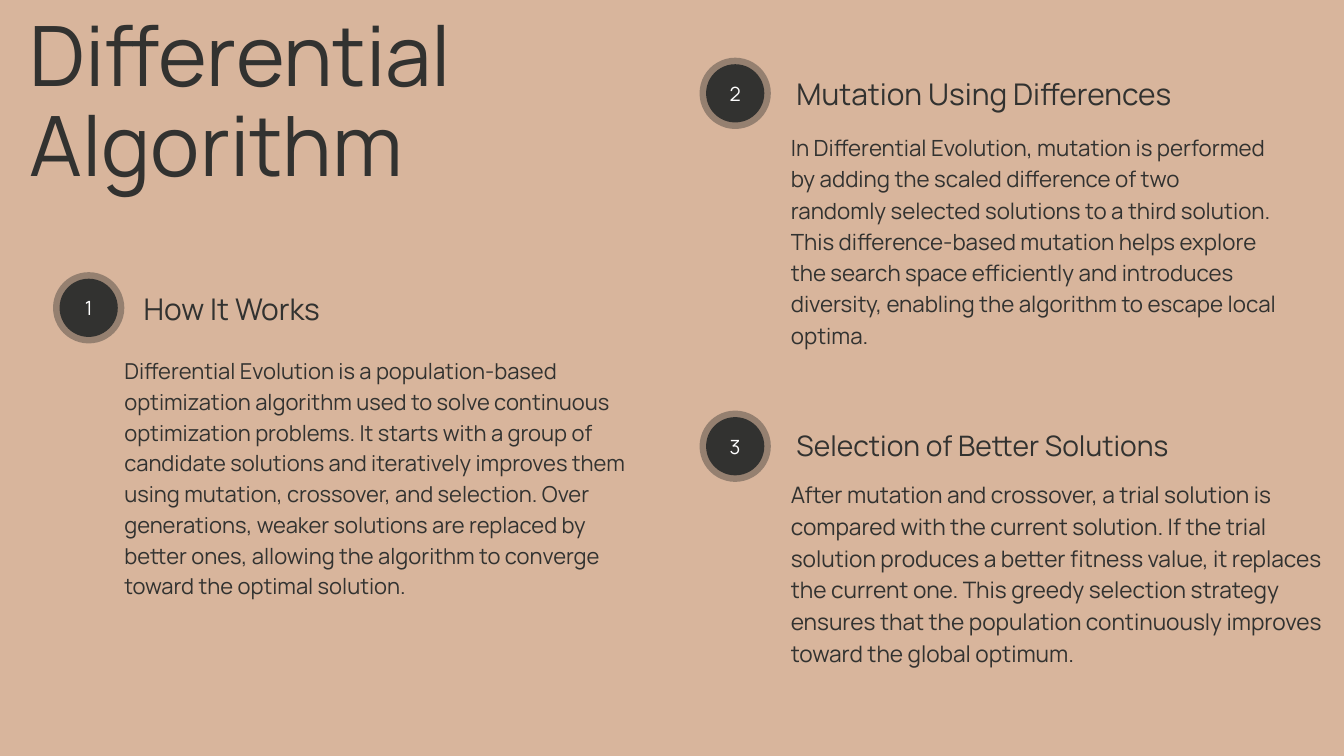
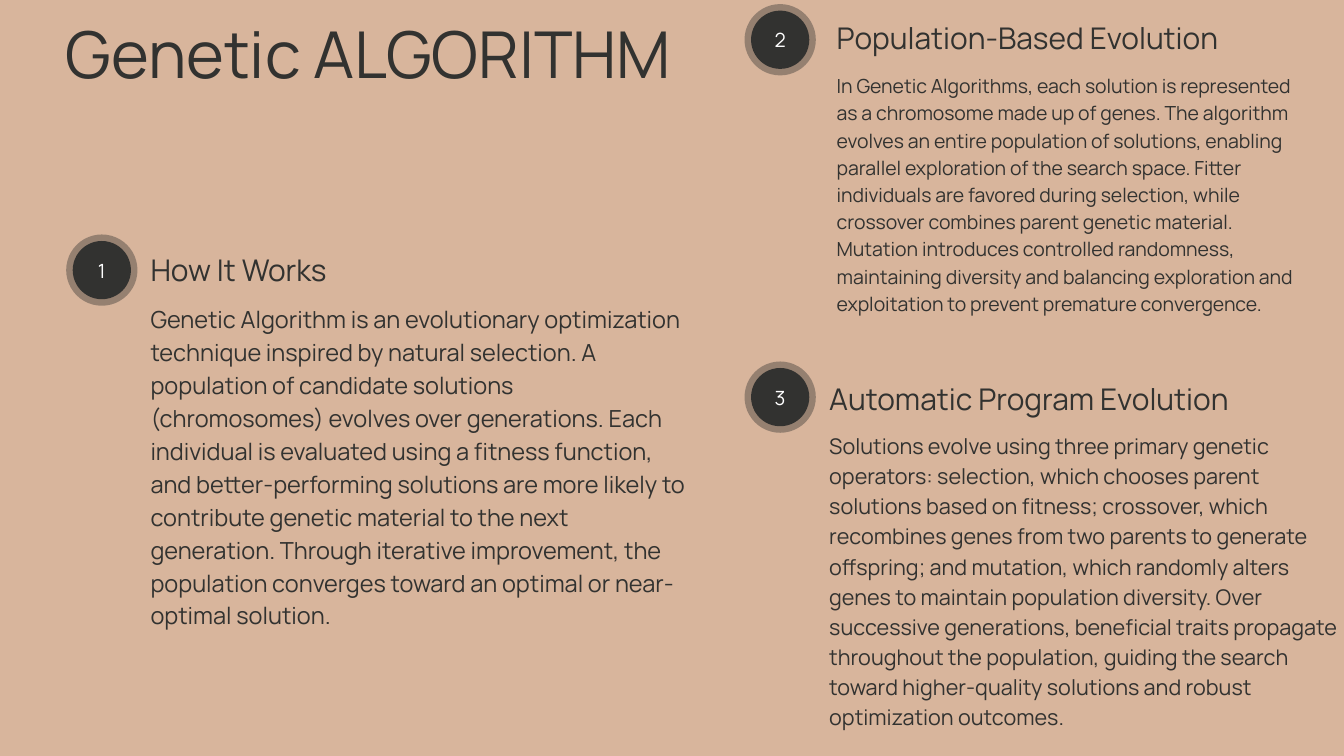
import dataclasses

import lxml.etree
import pptx
import pptx.dml.color
import pptx.enum.shapes
import pptx.enum.text
import pptx.oxml.ns
import pptx.util

Pt = pptx.util.Pt
ALIGN = pptx.enum.text.PP_ALIGN
ANCHOR = pptx.enum.text.MSO_ANCHOR
AUTO_SIZE = pptx.enum.text.MSO_AUTO_SIZE

# Shared style, lengths in points
COLORS = {"background": "D8B59C", "ink": "323230", "number": "FFFFFF"}
FONT = "Manrope"
SLIDE_WIDTH, SLIDE_HEIGHT = 1440, 810
TITLE_SPACING, TEXT_SPACING = 1.08, 1.4
HALO_DIAMETER, DISC_DIAMETER, HALO_OPACITY = 76.4, 62.4, 40
NUMBER_WIDTH, NUMBER_HEIGHT, NUMBER_SIZE, NUMBER_LIFT = 50.4, 54.8, 21, 2


@dataclasses.dataclass
class Topic:
    badge_center: tuple
    heading: str
    heading_at: tuple
    heading_width: float
    body: str
    body_box: tuple
    body_size: float
    heading_size: float = 32


# Slide content
DIFFERENTIAL_TOPICS = [
    Topic((95, 329.8), "How It Works", (154, 304.6), 364,
          "Differential Evolution is a population-based optimization algorithm used to solve "
          "continuous optimization problems. It starts with a group of candidate solutions and "
          "iteratively improves them using mutation, crossover, and selection. Over generations, "
          "weaker solutions are replaced by better ones, allowing the algorithm to converge "
          "toward the optimal solution.",
          (133.2, 378.7, 540, 295), 23.5),
    Topic((787.7, 100), "Mutation Using Differences", (853.4, 74.9), 465,
          "In Differential Evolution, mutation is performed by adding the scaled difference of "
          "two randomly selected solutions to a third solution. This difference-based mutation "
          "helps explore the search space efficiently and introduces diversity, enabling the "
          "algorithm to escape local optima.",
          (847.4, 139, 522.7, 265.7), 23.9),
    Topic((787.7, 478.1), "Selection of Better Solutions", (853.4, 452.9), 438,
          "After mutation and crossover, a trial solution is compared with the current solution. "
          "If the trial solution produces a better fitness value, it replaces the current one. "
          "This greedy selection strategy ensures that the population continuously improves "
          "toward the global optimum.",
          (847.4, 510.5, 578.9, 265.7), 24.3, 30.2),
]
GENETIC_TOPICS = [
    Topic((109.1, 289.4), "How It Works", (161.3, 263.5), 364,
          "Genetic Algorithm is an evolutionary optimization technique inspired by natural "
          "selection. A population of candidate solutions (chromosomes) evolves over generations. "
          "Each individual is evaluated using a fitness function, and better-performing solutions "
          "are more likely to contribute genetic material to the next generation. Through "
          "iterative improvement, the population converges toward an optimal or near-optimal "
          "solution.",
          (161.3, 321.8, 578.9, 352), 25.2),
    Topic((835.9, 42.6), "Population-Based Evolution", (896.4, 15.1), 471,
          "In Genetic Algorithms, each solution is represented as a chromosome made up of genes. "
          "The algorithm evolves an entire population of solutions, enabling parallel exploration "
          "of the search space. Fitter individuals are favored during selection, while crossover "
          "combines parent genetic material. Mutation introduces controlled randomness, "
          "maintaining diversity and balancing exploration and exploitation to prevent premature "
          "convergence.",
          (896.4, 75.6, 496.1, 314.6), 20.8),
    Topic((835.9, 425.5), "Automatic Program Evolution", (888.5, 401.8), 471,
          "Solutions evolve using three primary genetic operators: selection, which chooses "
          "parent solutions based on fitness; crossover, which recombines genes from two parents "
          "to generate offspring; and mutation, which randomly alters genes to maintain "
          "population diversity. Over successive generations, beneficial traits propagate "
          "throughout the population, guiding the search toward higher-quality solutions and "
          "robust optimization outcomes.",
          (888.5, 459.4, 549.4, 345.6), 23.1),
]


def color(name):
    return pptx.dml.color.RGBColor.from_string(COLORS[name])


def write_text(shape, text, size, spacing=TEXT_SPACING, color_name="ink",
               align=ALIGN.LEFT, anchor=ANCHOR.TOP, margin=0, auto_size=AUTO_SIZE.SHAPE_TO_FIT_TEXT):
    text_frame = shape.text_frame
    text_frame.text = text
    text_frame.word_wrap = True
    text_frame.auto_size = auto_size
    text_frame.vertical_anchor = anchor
    text_frame.margin_left = text_frame.margin_right = Pt(margin)
    text_frame.margin_top = text_frame.margin_bottom = Pt(margin)
    for paragraph in text_frame.paragraphs:
        paragraph.alignment = align
        paragraph.line_spacing = Pt(round(size * spacing, 1))
        paragraph.space_before = paragraph.space_after = Pt(0)
        for run in paragraph.runs:
            run.font.name = FONT
            run.font.size = Pt(size)
            run.font.color.rgb = color(color_name)


def add_text(shapes, box, text, size, **style):
    shape = shapes.add_textbox(*map(Pt, box))
    write_text(shape, text, size, **style)


def add_circle(shapes, center, diameter, opacity=100):
    left, top = (value - diameter / 2 for value in center)
    circle = shapes.add_shape(pptx.enum.shapes.MSO_SHAPE.OVAL,
                              Pt(left), Pt(top), Pt(diameter), Pt(diameter))
    circle.shadow.inherit = False
    circle.line.fill.background()
    circle.fill.solid()
    circle.fill.fore_color.rgb = color("ink")
    if opacity < 100:
        qualified_name = pptx.oxml.ns.qn
        fill_color = circle.fill._xPr.find(".//" + qualified_name("a:srgbClr"))
        alpha = lxml.etree.SubElement(fill_color, qualified_name("a:alpha"))
        alpha.set("val", str(opacity * 1000))


def add_badge(slide, center, number):
    shapes = slide.shapes.add_group_shape().shapes
    add_circle(shapes, center, HALO_DIAMETER, HALO_OPACITY)
    add_circle(shapes, center, DISC_DIAMETER)
    center_x, center_y = center
    box = (center_x - NUMBER_WIDTH / 2, center_y - NUMBER_HEIGHT / 2 - NUMBER_LIFT,
           NUMBER_WIDTH, NUMBER_HEIGHT)
    add_text(shapes, box, str(number), NUMBER_SIZE, color_name="number", align=ALIGN.CENTER,
             anchor=ANCHOR.MIDDLE, margin=3.6, auto_size=AUTO_SIZE.NONE)


def add_topic(slide, number, topic):
    add_badge(slide, topic.badge_center, number)
    heading_height = topic.heading_size * TEXT_SPACING
    add_text(slide.shapes, (*topic.heading_at, topic.heading_width, heading_height),
             topic.heading, topic.heading_size)
    add_text(slide.shapes, topic.body_box, topic.body, topic.body_size)


def add_algorithm_slide(presentation, title, title_box, title_size, topics):
    slide = presentation.slides.add_slide(presentation.slide_layouts.get_by_name("Title Only"))
    placeholder = slide.shapes.title
    placeholder.left, placeholder.top, placeholder.width, placeholder.height = map(Pt, title_box)
    write_text(placeholder, title, title_size, spacing=TITLE_SPACING)
    for number, topic in enumerate(topics, start=1):
        add_topic(slide, number, topic)


def main():
    presentation = pptx.Presentation()
    presentation.slide_width, presentation.slide_height = Pt(SLIDE_WIDTH), Pt(SLIDE_HEIGHT)
    background = presentation.slide_master.background.fill
    background.solid()
    background.fore_color.rgb = color("background")

    add_algorithm_slide(presentation, "Differential\nAlgorithm",
                        (31.7, 14.4, 862.6, 296.6), 89.2, DIFFERENTIAL_TOPICS)
    add_algorithm_slide(presentation, "Genetic ALGORITHM",
                        (70.6, 23, 669.6, 230.4), 69.2, GENETIC_TOPICS)
    presentation.save("out.pptx")


if __name__ == "__main__":
    main()
